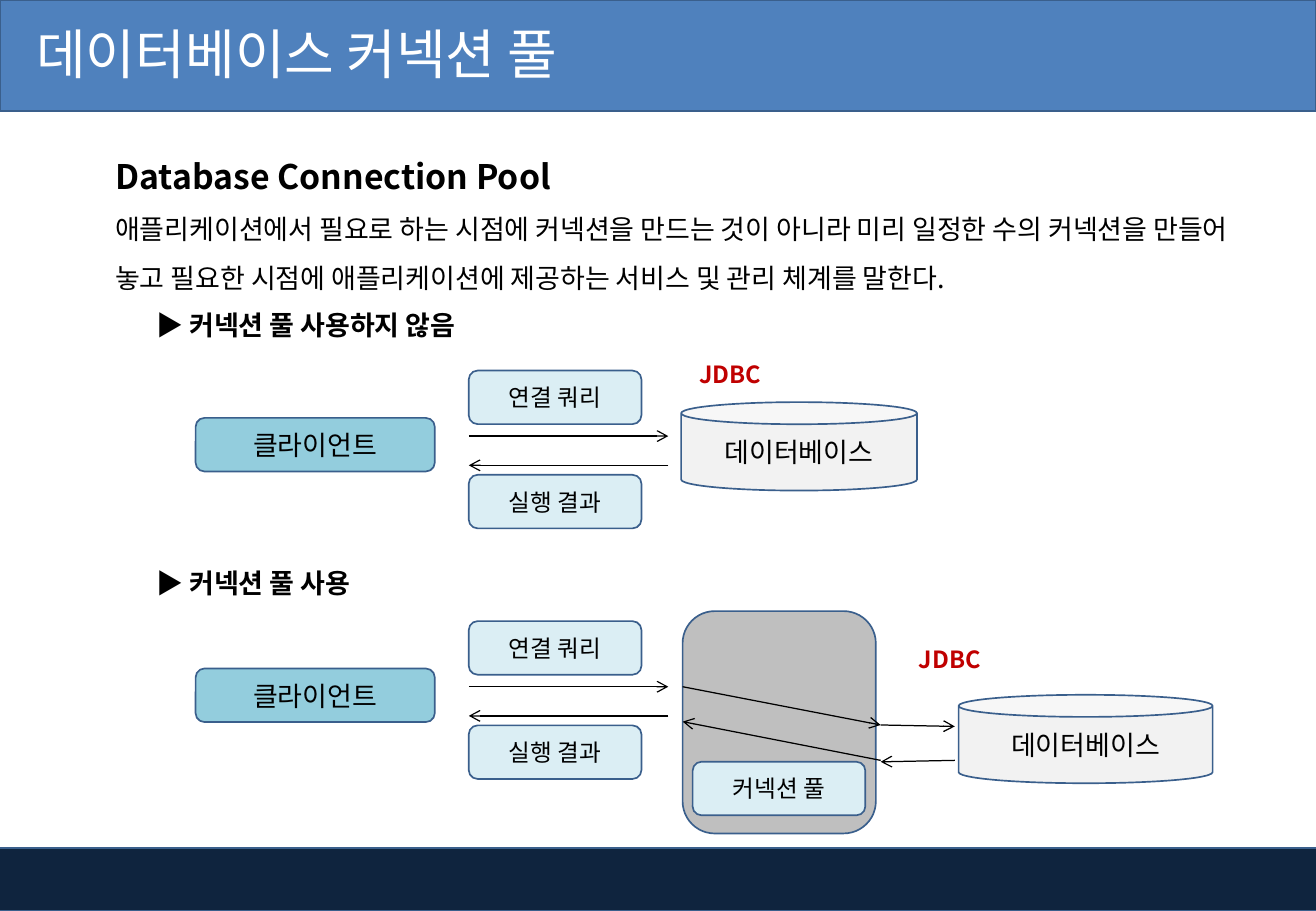
from pptx import Presentation
from pptx.dml.color import RGBColor
from pptx.enum.shapes import MSO_CONNECTOR, MSO_SHAPE
from pptx.enum.text import MSO_ANCHOR, PP_ALIGN
from pptx.oxml.ns import qn
from pptx.util import Cm, Pt
from lxml import etree

RECT, ROUND, CAN = MSO_SHAPE.RECTANGLE, MSO_SHAPE.ROUNDED_RECTANGLE, MSO_SHAPE.CAN
STRAIGHT = MSO_CONNECTOR.STRAIGHT
LEFT, CENTER = PP_ALIGN.LEFT, PP_ALIGN.CENTER
TOP, MIDDLE = MSO_ANCHOR.TOP, MSO_ANCHOR.MIDDLE
FONT = "Noto Sans CJK KR"
COLORS = {
    "header": "4F81BD", "footer": "0F243E", "outline": "3A5F8C",
    "client": "93CDDD", "message": "DBEEF4", "pool": "BFBFBF", "database": "F2F2F2",
    "black": "000000", "white": "FFFFFF", "red": "C00000",
}

prs = Presentation()
prs.slide_width, prs.slide_height = Cm(27.51), Cm(19.05)
s = prs.slides.add_slide(prs.slide_layouts[6])


def add_box(x, y, w, h, text="", shape=None, fill=None, size=16, color="black",
            bold=False, align=CENTER, anchor=MIDDLE, spacing=None, inset=0.25):
    """Add a shape, or a text box if no shape is given; each line is a paragraph."""
    box = Cm(x), Cm(y), Cm(w), Cm(h)
    if shape is None:
        sp = s.shapes.add_textbox(*box)
    else:
        sp = s.shapes.add_shape(shape, *box)
        sp.shadow.inherit = False
        sp.fill.solid()
        sp.fill.fore_color.rgb = RGBColor.from_string(COLORS[fill])
        sp.line.color.rgb = RGBColor.from_string(COLORS["outline"])
        sp.line.width = Pt(1)
    tf = sp.text_frame
    tf.word_wrap = True
    tf.vertical_anchor = anchor
    tf.margin_left = Cm(inset)
    if text:
        tf.text = text
    for p in tf.paragraphs:
        p.alignment = align
        p.line_spacing = spacing
        for r in p.runs:
            r.font.name, r.font.size, r.font.bold = FONT, Pt(size), bold
            r.font.color.rgb = RGBColor.from_string(COLORS[color])
            etree.SubElement(r.font._element, qn("a:ea"), typeface=FONT)
    return sp


def add_arrow(x1, y1, x2, y2):
    line = s.shapes.add_connector(STRAIGHT, Cm(x1), Cm(y1), Cm(x2), Cm(y2))
    line.line.color.rgb = RGBColor.from_string(COLORS["black"])
    line.line.width = Pt(0.75)
    etree.SubElement(line.line._get_or_add_ln(), qn("a:tailEnd"), type="arrow")
    etree.SubElement(line._element.spPr, qn("a:effectLst"))


# Header and footer bands
add_box(-0.1, 17.73, 27.64, 1.32, shape=RECT, fill="footer")
add_box(0, 0, 27.51, 2.33, shape=RECT, fill="header")
add_box(0, -0.08, 22.2, 2.39, "데이터베이스 커넥션 풀", size=32, color="white",
        align=LEFT, inset=0.76)

# Definition
sp = add_box(2.16, 2.72, 24.79, 3.58,
             "Database Connection Pool\n"
             "애플리케이션에서 필요로 하는 시점에 커넥션을 만드는 것이 아니라 미리 일정한 수의 "
             "커넥션을 만들어 놓고 필요한 시점에 애플리케이션에 제공하는 서비스 및 관리 체계를 말한다.",
             align=LEFT, anchor=TOP, spacing=1.5)
r = sp.text_frame.paragraphs[0].runs[0]
r.font.size, r.font.bold = Pt(20), True

# Section headings
for y, text in ((6.32, "▶ 커넥션 풀 사용하지 않음"), (11.73, "▶ 커넥션 풀 사용")):
    add_box(3.02, y, 8.08, 0.94, text, bold=True, align=LEFT, anchor=TOP)

# Client, messages and their arrows, once without and once with the pool
for dy in (0, 5.24):
    add_box(4.09, 8.74 + dy, 5, 1.12, "클라이언트", shape=ROUND, fill="client")
    for y, text in ((7.75, "연결 쿼리"), (9.93, "실행 결과")):
        add_box(9.8, y + dy, 3.61, 1.12, text, shape=ROUND, fill="message", size=14)
    add_arrow(9.8, 9.12 + dy, 13.97, 9.12 + dy)
    add_arrow(13.97, 9.73 + dy, 9.8, 9.73 + dy)

# Connection pool
add_box(14.27, 12.78, 4.04, 4.65, shape=ROUND, fill="pool")
add_box(14.48, 15.93, 3.61, 1.12, "커넥션 풀", shape=ROUND, fill="message", size=14)

# Databases
for x, y, w in ((14.24, 8.41, 4.93), (20.04, 14.53, 5.31)):
    add_box(x, y, w, 1.85, "데이터베이스", shape=CAN, fill="database")

# Driver labels
for x, y in ((13.77, 7.26), (18.36, 13.23)):
    add_box(x, y, 3, 1.12, "JDBC", size=14, color="red", bold=True)

# Arrows through the pool to the database and back
for ends in ((14.27, 14.36, 18.41, 15.16), (18.41, 15.16, 19.96, 15.19),
             (19.96, 15.9, 18.41, 15.93), (18.41, 15.9, 14.27, 15.09)):
    add_arrow(*ends)

prs.save("out.pptx")
